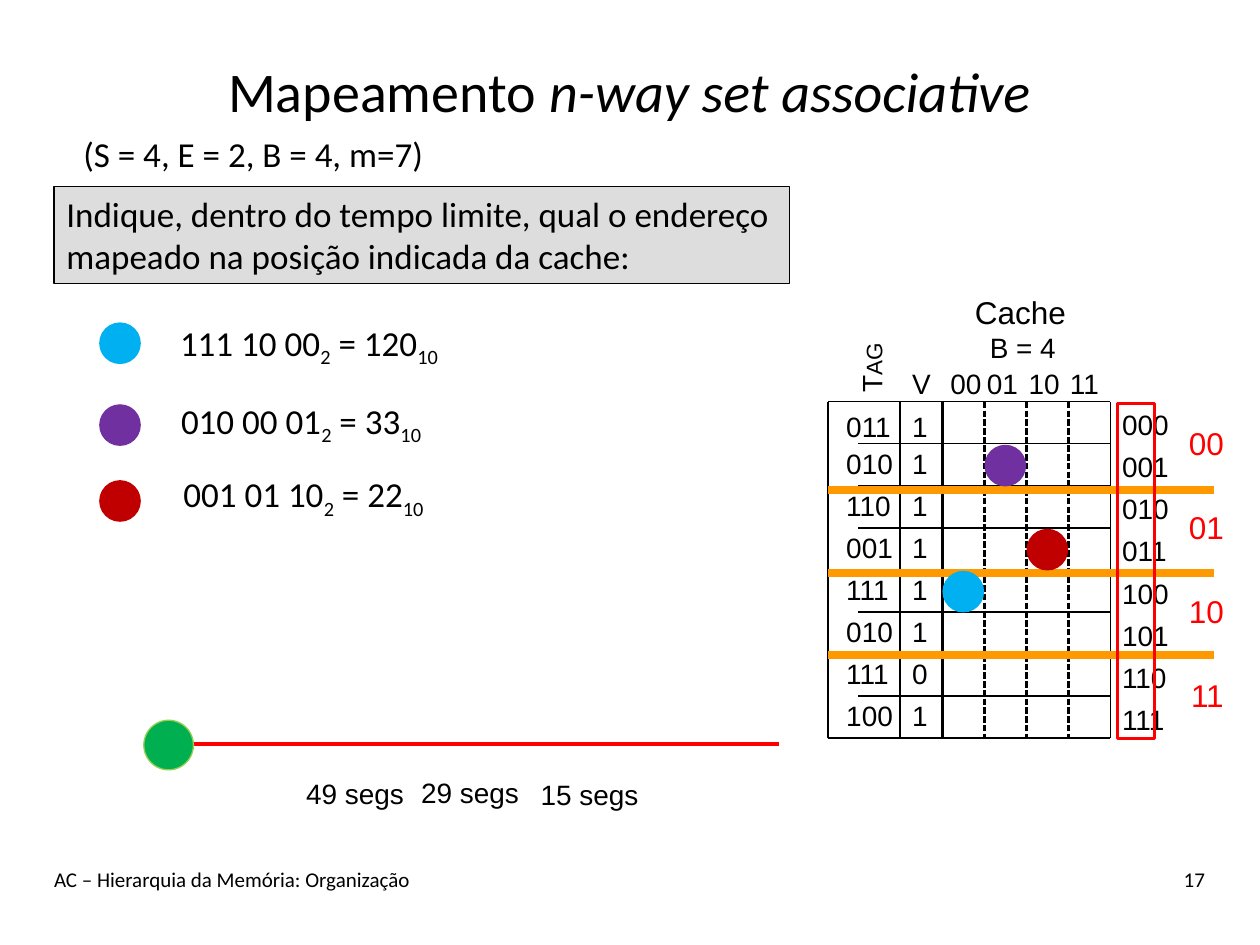
from lxml import etree
from pptx import Presentation
from pptx import util as u
from pptx.dml.color import RGBColor
from pptx.enum import dml, shapes, text
from pptx.oxml.ns import qn

BLACK, RED, ORANGE = "000000", "FF0000", "FF9900"
BLUE, PURPLE, CRIMSON = "00B0F0", "7030A0", "C00000"

# Cache grid, in centimetres
LEFT, RIGHT, TOP = 16.69, 22.38, 8.1
VALID_X, BLOCK_X = 18.14, 19.0
CELL = 0.847
ROWS = 8
BOTTOM = TOP + ROWS * CELL

TAGS = ["011", "010", "110", "001", "111", "010", "111", "100"]
VALID_BITS = "11111101"
SUB = {"base": -25}


def color(hex_code):
    return RGBColor.from_string(hex_code)


def write(frame, content, size=16, font="Arial", ink=BLACK,
          align=text.PP_ALIGN.LEFT, small_caps=False):
    """Fill a text frame with a string or a list of (string, options) runs."""
    frame.word_wrap = True
    paragraph = frame.paragraphs[0]
    paragraph.alignment = align
    runs = [(content, {})] if isinstance(content, str) else content
    for wording, options in runs:
        run = paragraph.add_run()
        run.text = wording
        run.font.size = u.Pt(size)
        run.font.name = font
        run.font.color.rgb = color(ink)
        if options.get("italic"):
            run.font.italic = True
        properties = run._r.get_or_add_rPr()
        if "base" in options:
            properties.set("baseline", str(options["base"] * 1000))
        if small_caps:
            properties.set("cap", "small")


def add_label(slide, content, x, y, width, height=0.94, **style):
    label = slide.shapes.add_textbox(u.Cm(x), u.Cm(y), u.Cm(width), u.Cm(height))
    write(label.text_frame, content, **style)
    return label


def add_line(slide, x1, y1, x2, y2, ink=BLACK, weight=0.75, dashed=False):
    line = slide.shapes.add_connector(
        shapes.MSO_CONNECTOR.STRAIGHT, u.Cm(x1), u.Cm(y1), u.Cm(x2), u.Cm(y2))
    line.line.color.rgb = color(ink)
    line.line.width = u.Pt(weight)
    if dashed:
        line.line.dash_style = dml.MSO_LINE.SQUARE_DOT
    etree.SubElement(line._element.spPr, qn("a:effectLst"))


def add_figure(slide, kind, x, y, width, height, fill=None, outline=None, weight=0.75):
    figure = slide.shapes.add_shape(
        kind, u.Cm(x), u.Cm(y), u.Cm(width), u.Cm(height))
    figure.shadow.inherit = False
    if fill:
        figure.fill.solid()
        figure.fill.fore_color.rgb = color(fill)
    else:
        figure.fill.background()
    if outline:
        figure.line.color.rgb = color(outline)
        figure.line.width = u.Pt(weight)
    else:
        figure.line.fill.background()
    return figure


def add_dot(slide, x, y, fill, diameter=0.84, outline=None):
    add_figure(slide, shapes.MSO_SHAPE.OVAL, x, y, diameter, diameter, fill, outline)


def add_heading(slide):
    title = slide.shapes.title
    title.left, title.top = u.Cm(0.84), u.Cm(0.64)
    title.width, title.height = u.Cm(23.7), u.Cm(2.34)
    title.text_frame.vertical_anchor = text.MSO_ANCHOR.MIDDLE
    write(title.text_frame,
          [("Mapeamento ", {}), ("n-way set associative", {"italic": True})],
          size=32, font="Calibri", align=text.PP_ALIGN.CENTER)
    add_label(slide, "(S = 4, E = 2, B = 4, m=7)", 1.43, 2.54, 8,
              size=20, font="Calibri")
    question = add_figure(slide, shapes.MSO_SHAPE.RECTANGLE, 1.09, 3.76, 14.83, 1.96,
                          "DDDDDD", BLACK)
    question.text_frame.vertical_anchor = text.MSO_ANCHOR.TOP
    write(question.text_frame,
          "Indique, dentro do tempo limite, qual o endereço "
          "mapeado na posição indicada da cache:", size=20, font="Calibri")


def add_answers(slide):
    answers = [
        (BLUE, 6.5, 3.38, 6.35, "111 10 00", "120"),
        (PURPLE, 8.15, 3.4, 7.92, "010 00 01", "33"),
        (CRIMSON, 9.68, 3.45, 9.4, "001 01 10", "22"),
    ]
    for fill, dot_y, x, y, binary, decimal in answers:
        add_dot(slide, 2, dot_y, fill)
        equation = [(binary, {}), ("2", SUB), (f" = {decimal}", {}), ("10", SUB)]
        add_label(slide, equation, x, y, 6.2, 1.12, size=20, font="Calibri")


def add_timer(slide):
    add_line(slide, 3.3, 14.99, 15.7, 14.99, RED, 2.25)
    add_dot(slide, 2.9, 14.52, "00B050", 1, "92D050")
    for seconds, x, y in [(49, 5.92, 15.52), (29, 8.24, 15.5), (15, 10.65, 15.55)]:
        add_label(slide, f"{seconds} segs", x, y, 2.7)


def add_cache_grid(slide):
    for x, weight in [(LEFT, 0.75), (VALID_X, 0.75), (BLOCK_X, 1.5), (RIGHT, 0.75)]:
        add_line(slide, x, TOP, x, BOTTOM, weight=weight)
    for column in range(1, 4):
        x = BLOCK_X + column * CELL
        add_line(slide, x, TOP, x, BOTTOM, weight=1.25, dashed=True)
    for row in range(ROWS + 1):
        y = TOP + row * CELL
        start = LEFT if row in (0, ROWS) else 17.3
        add_line(slide, start, y, RIGHT, y)


def add_cache_labels(slide):
    center = text.PP_ALIGN.CENTER
    add_label(slide, "Cache", 19.32, 5.79, 2.5, 1.02, size=18, align=center)
    add_label(slide, "B = 4", 19.62, 6.53, 2, align=center)
    tag = add_label(slide, "Tag", 16.81, 6.93, 1.52, small_caps=True)
    tag.rotation = 270
    add_label(slide, "V", VALID_X, 7.26, 1)
    for offset, middle in zip(("00", "01", "10", "11"), (19.47, 20.21, 21.05, 21.86)):
        add_label(slide, offset, middle - 0.65, 7.26, 1.3, align=center)
    for row, (tag_bits, valid) in enumerate(zip(TAGS, VALID_BITS)):
        y = TOP + row * CELL
        entry_y = y + (0.03 if row == 0 else -0.07)
        add_label(slide, tag_bits, 16.81, entry_y, 1.52)
        add_label(slide, valid, VALID_X, entry_y, 0.9)
        add_label(slide, f"{row:03b}", 22.37, y, 1.52)


def add_sets(slide):
    """Mark the four sets, the dots to be found and the set numbers."""
    for y in (9.88, 11.55, 13.21):
        add_line(slide, 16.7, y, 24.47, y, ORANGE, 4.5)
    for column, row, fill in [(1, 1, PURPLE), (2, 3, CRIMSON), (0, 4, BLUE)]:
        add_dot(slide, BLOCK_X + column * CELL, TOP + 0.02 + row * CELL, fill)
    add_figure(slide, shapes.MSO_SHAPE.RECTANGLE, 22.53, 8.13, 0.74, 6.76,
               outline=RED, weight=1.5)
    for number in range(4):
        add_label(slide, f"{number:02b}", 23.62, 8.43 + 2 * number * CELL, 1.3, 1.02,
                  size=18, ink=RED, align=text.PP_ALIGN.RIGHT)


def add_footer(slide):
    add_label(slide, "AC – Hierarquia da Memória: Organização", 0.84, 17.35, 17.78, 1.27,
              size=12, font="Calibri")
    add_label(slide, "17", 21.16, 17.35, 3.38, 1.27,
              size=12, font="Calibri", align=text.PP_ALIGN.RIGHT)


def main():
    deck = Presentation()
    deck.slide_width, deck.slide_height = u.Cm(25.4), u.Cm(19.05)
    slide = deck.slides.add_slide(deck.slide_layouts[5])
    for add_part in (add_heading, add_answers, add_timer, add_cache_grid,
                     add_cache_labels, add_sets, add_footer):
        add_part(slide)
    deck.save("out.pptx")


if __name__ == "__main__":
    main()
